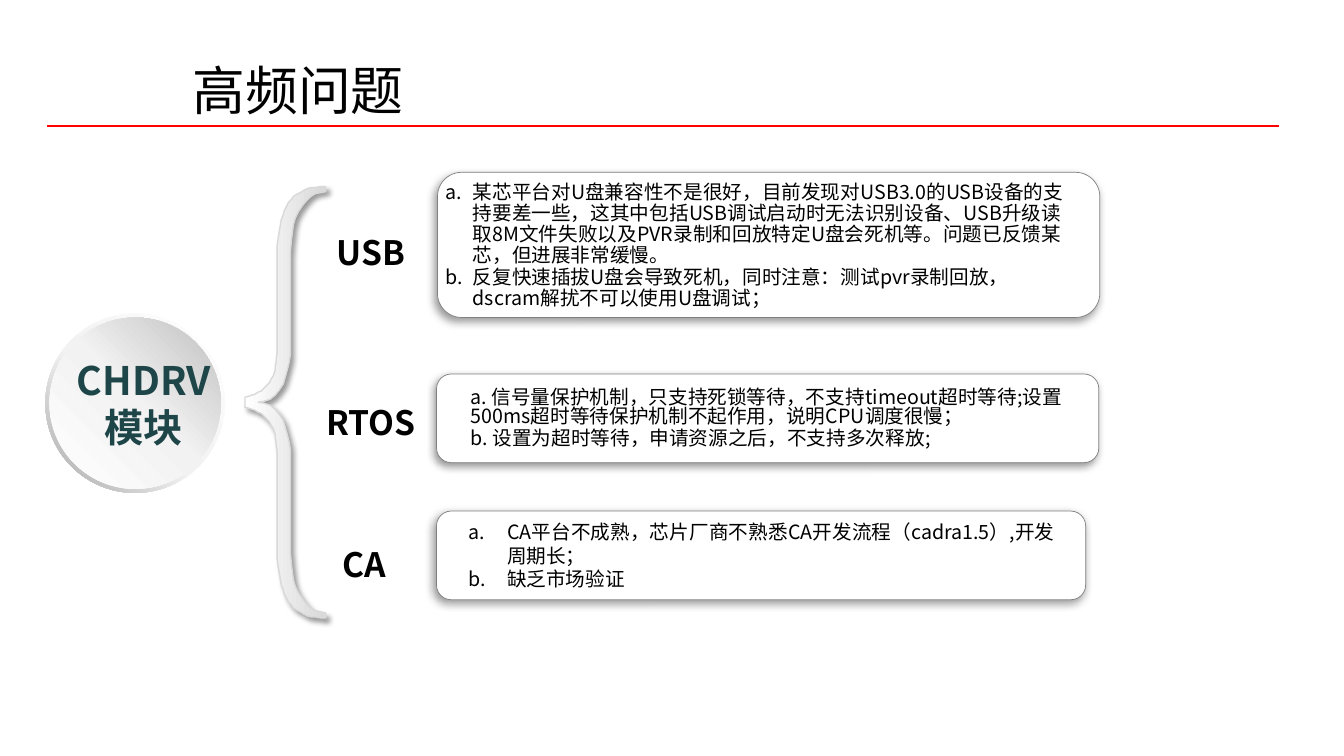
import pptx
import pptx.dml.color
import pptx.enum.shapes
import pptx.enum.text
import pptx.oxml
import pptx.oxml.ns
import pptx.util
from lxml import etree

SHAPE = pptx.enum.shapes.MSO_SHAPE
ALIGN = pptx.enum.text.PP_ALIGN
FONT = "Noto Sans CJK SC"
WIDTH, HEIGHT = pptx.util.Inches(13.33), pptx.util.Inches(7.5)

# Frames are left, top, width, height in percent of the slide.
# Topic: label, label frame, box frame, text frame, paragraphs, paragraph format
TOPICS = [
    ("USB", (21.3, 30.67, 12.6, 5.33), (32.55, 22.8, 49.28, 19.2), (31.58, 24.13, 48, 16.93),
     ["某芯平台对U盘兼容性不是很好，目前发现对USB3.0的USB设备的支持要差一些，这其中包括USB调试启动时无法识别设备、"
      "USB升级读取8M文件失败以及PVR录制和回放特定U盘会死机等。问题已反馈某芯，但进展非常缓慢。",
      "反复快速插拔U盘会导致死机，同时注意：测试pvr录制回放，dscram解扰不可以使用U盘调试；"],
     {"spacing": 0.9, "numbering": (0.48, 0.27)}),
    ("RTOS", (22.05, 53.2, 11.1, 5.33), (32.48, 49.47, 49.28, 11.73), (35.03, 51.47, 44.78, 8.13),
     ["a. 信号量保护机制，只支持死锁等待，不支持timeout超时等待;设置500ms超时等待保护机制不起作用，说明CPU调度很慢；",
      "b. 设置为超时等待，申请资源之后，不支持多次释放;"],
     {"spacing": 0.8, "before": 2.8}),
    ("CA", (21.53, 72, 11.1, 5.33), (32.48, 67.6, 48.3, 11.73), (34.88, 68.8, 43.58, 9.47),
     ["CA平台不成熟，芯片厂商不熟悉CA开发流程（cadra1.5）,开发周期长；", "缺乏市场验证"],
     {"align": ALIGN.JUSTIFY, "numbering": (0.38, 0.38)}),
]

# Upper half of the brace in hundredths of an inch: one point is a line, three a curve.
BRACE_TIP, BRACE_HEIGHT = (0, 209), 428
BRACE_HALF = [
    [(13, 206), (21, 201), (25, 193)], [(30, 186), (32, 173), (32, 156)], [(32, 74)],
    [(32, 46), (36, 27), (43, 16)], [(51, 5), (63, 0), (80, 0)], [(80, 5)],
    [(62, 5), (47, 26), (46, 54)], [(45, 66)], [(45, 159)], [(45, 184), (36, 214), (13, 214)],
]


def rgb(hex_color):
    return pptx.dml.color.RGBColor.from_string(hex_color)


def frame(x, y, w, h):
    return [int(v * side / 100) for v, side in zip((x, y, w, h), (WIDTH, HEIGHT) * 2)]


def add_xml(parent, tag, **attributes):
    return etree.SubElement(parent, pptx.oxml.ns.qn(tag), attributes)


def set_line(sp, color, width):
    sp.line.color.rgb = rgb(color)
    sp.line.width = pptx.util.Pt(width)


def set_gradient(sp, stops, angle):
    """Fill with (percent, colour) stops; the angle runs clockwise."""
    sp.fill.gradient()
    sp.fill.gradient_angle = (360 - angle) % 360
    stop_list = sp.fill._fill._gradFill.find(pptx.oxml.ns.qn("a:gsLst"))
    for old in list(stop_list):
        stop_list.remove(old)
    for percent, color in stops:
        add_xml(add_xml(stop_list, "a:gs", pos=str(percent * 1000)), "a:srgbClr", val=color)


def set_shadow(sp, blur, distance, angle):
    sp.shadow.inherit = False
    effects = sp._element.spPr.find(pptx.oxml.ns.qn("a:effectLst"))
    outer = add_xml(effects, "a:outerShdw", blurRad=str(pptx.util.Pt(blur)),
                    dist=str(pptx.util.Pt(distance)), dir=str(angle * 60000),
                    algn="ctr", rotWithShape="0")
    add_xml(add_xml(outer, "a:srgbClr", val="000000"), "a:alpha", val="40000")


def number_paragraph(p, margin, hanging):
    """Letter the paragraph a., b., ... with a hanging indent in inches."""
    pPr = p._p.get_or_add_pPr()
    pPr.set("marL", str(pptx.util.Inches(margin)))
    pPr.set("indent", str(-pptx.util.Inches(hanging)))
    add_xml(pPr, "a:buFont", typeface="+mj-lt")
    add_xml(pPr, "a:buAutoNum", type="alphaLcPeriod")


def add_text(s, place, paragraphs, size, color="000000", bold=False, align=ALIGN.LEFT,
             spacing=1.0, before=0, numbering=None):
    tf = s.shapes.add_textbox(*frame(*place)).text_frame
    tf.word_wrap = True
    tf.margin_left = tf.margin_right = tf.margin_top = tf.margin_bottom = 0
    tf.text = "\n".join(paragraphs)
    for p in tf.paragraphs:
        p.alignment, p.line_spacing = align, spacing
        p.space_before = pptx.util.Pt(before)
        p.font.size, p.font.bold, p.font.name = pptx.util.Pt(size), bold, FONT
        p.font.color.rgb = rgb(color)
        for r in p.runs:
            add_xml(r._r.get_or_add_rPr(), "a:ea", typeface=FONT)
        if numbering:
            number_paragraph(p, *numbering)


def add_title(s, text):
    title = s.shapes.title
    title.left, title.top, title.width, title.height = frame(13.58, 6.8, 18.9, 10)
    tf = title.text_frame
    tf.text = text
    tf.auto_size = pptx.enum.text.MSO_AUTO_SIZE.NONE
    tf.vertical_anchor = pptx.enum.text.MSO_ANCHOR.MIDDLE
    p = tf.paragraphs[0]
    p.alignment = ALIGN.LEFT
    p.font.size, p.font.name, p.font.color.rgb = pptx.util.Pt(37.7), "Arial", rgb("000000")


def add_rule(s):
    x, y, w, _ = frame(3.53, 16.67, 91.65, 0)
    rule = s.shapes.add_connector(pptx.enum.shapes.MSO_CONNECTOR.STRAIGHT, x, y, x + w, y)
    set_line(rule, "FF0000", 0.75)
    add_xml(rule._element.spPr, "a:effectLst")


def curve_points(start, a, b, end, steps=10):
    for t in (i / steps for i in range(1, steps + 1)):
        weights = ((1 - t) ** 3, 3 * t * (1 - t) ** 2, 3 * t * t * (1 - t), t ** 3)
        yield tuple(sum(k * v for k, v in zip(weights, axis))
                    for axis in zip(start, a, b, end))


def add_brace(s):
    half = [BRACE_TIP]
    for segment in BRACE_HALF:
        half += curve_points(half[-1], *segment) if len(segment) == 3 else segment
    outline = half + [(x, BRACE_HEIGHT - y) for x, y in reversed(half)]
    builder = s.shapes.build_freeform(*outline[0], scale=pptx.util.Inches(0.01))
    builder.add_line_segments(outline[1:], close=True)
    brace = builder.convert_to_shape(*frame(18.23, 24.67, 0, 0)[:2])
    set_gradient(brace, [(0, "FFFFFF"), (100, "D9D9D9")], 0)
    set_line(brace, "D9D9D9", 1)
    set_shadow(brace, 4, 3, 45)


def add_disc(s, kind, place, stops, angle):
    disc = s.shapes.add_shape(kind, *frame(*place))
    disc.shadow.inherit = False
    disc.line.fill.background()
    set_gradient(disc, stops, angle)
    return disc


def add_module(s):
    ring = add_disc(s, SHAPE.DONUT, (3.38, 41.47, 13.35, 23.73),
                    [(0, "FFFFFF"), (55, "F2F2F2"), (100, "A6A6A6")], 135)
    ring.adjustments[0] = 0.05
    add_disc(s, SHAPE.OVAL, (3.68, 42, 12.75, 22.67),
             [(0, "FFFFFF"), (51, "F2F2F2"), (100, "BFBFBF")], 315)
    add_text(s, (5.03, 47.07, 11.33, 12.53), ["CHDRV模块"], 28, "1E4649", True, ALIGN.CENTER)


def add_topic(s, label, label_place, box_place, text_place, paragraphs, style):
    box = s.shapes.add_shape(SHAPE.ROUNDED_RECTANGLE, *frame(*box_place))
    box.fill.solid()
    box.fill.fore_color.rgb = rgb("FFFFFF")
    set_line(box, "808080", 0.5)
    set_shadow(box, 6, 3, 135)
    add_text(s, text_place, paragraphs, 14, **style)
    add_text(s, label_place, [label], 24, bold=True, align=ALIGN.CENTER)


def main():
    prs = pptx.Presentation()
    prs.slide_width, prs.slide_height = WIDTH, HEIGHT
    s = prs.slides.add_slide(prs.slide_layouts.get_by_name("Title Only"))
    add_rule(s)
    add_title(s, "高频问题")
    add_brace(s)
    for topic in TOPICS:
        add_topic(s, *topic)
    add_module(s)
    prs.save("out.pptx")


if __name__ == "__main__":
    main()
